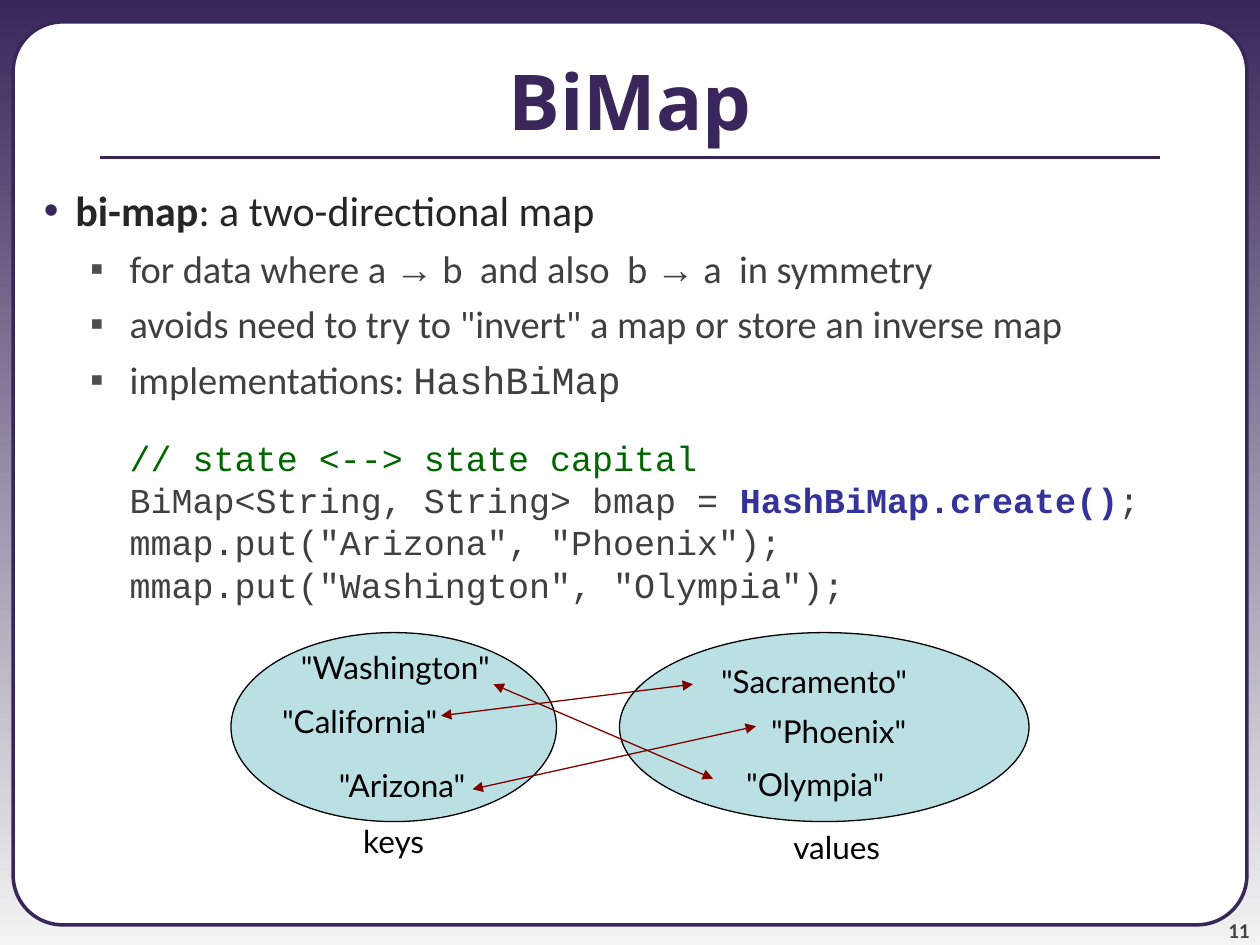
from dataclasses import dataclass
from typing import Any, Optional

import pptx
import pptx.dml.color
import pptx.enum.dml
import pptx.enum.shapes
import pptx.enum.text
import pptx.oxml
import pptx.oxml.ns
import pptx.shapes.autoshape
import pptx.text.text
import pptx.util

Pt = pptx.util.Pt
Align = pptx.enum.text.PP_ALIGN
Anchor = pptx.enum.text.MSO_ANCHOR
Preset = pptx.enum.shapes.MSO_SHAPE


@dataclass(frozen=True)
class Theme:
    purple: str = "39275B"
    pale: str = "F3F3F3"
    white: str = "FFFFFF"
    black: str = "000000"
    strong: str = "262626"
    body: str = "404040"
    number: str = "424242"
    square: str = "4D4D4D"
    comment: str = "006600"
    highlight: str = "333399"
    oval: str = "BBE0E3"
    arrow: str = "800000"
    title_font: str = "Noto Sans"
    body_font: str = "Calibri"
    symbol_font: str = "Arial"
    code_font: str = "Courier New"
    label_font: str = "Lato"
    title_size: float = 44
    topic_size: float = 24
    point_size: float = 22
    code_size: float = 20
    label_size: float = 18
    number_size: float = 12


THEME = Theme()


@dataclass(frozen=True)
class Box:
    left: float
    top: float
    width: float
    height: float

    def lengths(self) -> list[pptx.util.Length]:
        return [Pt(n) for n in (self.left, self.top, self.width, self.height)]


@dataclass(frozen=True)
class Run:
    text: str
    color: str = THEME.body
    font: str = THEME.body_font
    bold: bool = False


@dataclass(frozen=True)
class Style:
    size: float
    margin: float = 0
    indent: float = 0
    before: float = 0
    bullet: str = ""
    bullet_color: str = ""
    align: Any = Align.LEFT


@dataclass(frozen=True)
class Label:
    text: str
    left: float
    top: float
    width: float


@dataclass(frozen=True)
class Arrow:
    start: tuple[float, float]
    end: tuple[float, float]


def rgb(color: str) -> pptx.dml.color.RGBColor:
    return pptx.dml.color.RGBColor.from_string(color)


def add_element(parent: Any, tag: str, **attributes: str) -> Any:
    element = parent.makeelement(pptx.oxml.ns.qn(tag), attributes)
    parent.append(element)
    return element


def write(paragraph: pptx.text.text._Paragraph, style: Style, runs: list[Run]) -> None:
    properties = paragraph._p.get_or_add_pPr()
    properties.set("marL", str(Pt(style.margin)))
    properties.set("indent", str(Pt(style.indent)))
    if style.bullet:
        color = add_element(properties, "a:buClr")
        add_element(color, "a:srgbClr", val=style.bullet_color)
        add_element(properties, "a:buFont", typeface=THEME.symbol_font)
        add_element(properties, "a:buChar", char=style.bullet)
    paragraph.alignment = style.align
    paragraph.space_before = Pt(style.before)
    for item in runs:
        for number, line in enumerate(item.text.split("\n")):
            if number:
                paragraph.add_line_break()
            if line:
                run = paragraph.add_run()
                run.text = line
                run.font.name = item.font
                run.font.size = Pt(style.size)
                run.font.bold = item.bold
                run.font.color.rgb = rgb(item.color)


def add_text(shapes: Any, box: Box, paragraphs: list[tuple[Style, list[Run]]],
             anchor: Any = Anchor.TOP, wrap: bool = True, inset: bool = True) -> None:
    frame = shapes.add_textbox(*box.lengths()).text_frame
    frame.word_wrap = wrap
    frame.vertical_anchor = anchor
    if not wrap:
        frame.auto_size = pptx.enum.text.MSO_AUTO_SIZE.SHAPE_TO_FIT_TEXT
    if not inset:
        frame.margin_left = frame.margin_right = frame.margin_top = frame.margin_bottom = 0
    for number, (style, runs) in enumerate(paragraphs):
        write(frame.add_paragraph() if number else frame.paragraphs[0], style, runs)


def add_shape(shapes: Any, preset: Any, box: Box, fill: str, line: str,
              width: float) -> pptx.shapes.autoshape.Shape:
    shape = shapes.add_shape(preset, *box.lengths())
    shape.shadow.inherit = False
    shape.fill.solid()
    shape.fill.fore_color.rgb = rgb(fill)
    shape.line.color.rgb = rgb(line)
    shape.line.width = Pt(width)
    return shape


def add_line(shapes: Any, ends: Arrow, color: str, width: float, heads: bool = False) -> None:
    connector = shapes.add_connector(
        pptx.enum.shapes.MSO_CONNECTOR.STRAIGHT, *[Pt(n) for n in ends.start + ends.end])
    connector.line.color.rgb = rgb(color)
    connector.line.width = Pt(width)
    if heads:
        for tag in ("a:headEnd", "a:tailEnd"):
            add_element(connector.line._get_or_add_ln(), tag, type="triangle")
    add_element(connector._element.spPr, "a:effectLst")


def add_background(slide: Any) -> None:
    fill = slide.background.fill
    fill.gradient()
    fill.gradient_angle = 270
    for stop, color, position in zip(fill.gradient_stops, (THEME.purple, THEME.pale), (0, 1)):
        stop.color.rgb = rgb(color)
        stop.position = position


# Body text
TOPIC = Style(THEME.topic_size, 36, -18, 0, "•", THEME.purple)
POINT = Style(THEME.point_size, 67, -22.5, 5.5, "▪", THEME.square)
CODE = Style(THEME.code_size, 67, 0, 19.7)
ARROW_SIGN = Run("→", font=THEME.symbol_font)
BODY: list[tuple[Style, list[Run]]] = [
    (TOPIC, [Run("bi-map", THEME.strong, bold=True),
             Run(": a two-directional map", THEME.strong)]),
    (POINT, [Run("for data where a "), ARROW_SIGN, Run(" b  and also  b "), ARROW_SIGN,
             Run(" a  in symmetry")]),
    (POINT, [Run('avoids need to try to "invert" a map or store an inverse map')]),
    (POINT, [Run("implementations: "), Run("HashBiMap", font=THEME.code_font)]),
    (CODE, [Run("// state <--> state capital\n", THEME.comment, THEME.code_font),
            Run("BiMap<String, String> bmap = ", font=THEME.code_font),
            Run("HashBiMap.create()", THEME.highlight, THEME.code_font, True),
            Run(';\nmmap.put("Arizona", "Phoenix");\nmmap.put("Washington", "Olympia");',
                font=THEME.code_font)]),
]

# Diagram of keys and values
OVALS = [Box(132, 361.5, 186, 108), Box(354, 361.5, 234, 108)]
LABELS = [
    Label('"Washington"', 156, 367, 131), Label('"California"', 147, 397.5, 110),
    Label('"Arizona"', 180, 434, 93), Label("keys", 197.5, 466, 52),
    Label('"Sacramento"', 395.5, 374.5, 130), Label('"Phoenix"', 428, 403.5, 97),
    Label('"Olympia"', 413.5, 433.5, 99), Label("values", 442, 469.5, 68),
]
PAIRS = [Arrow((282, 391), (407.5, 445)), Arrow((252, 409), (396, 391)),
         Arrow((270, 451), (432, 415))]


def main() -> None:
    presentation = pptx.Presentation()
    presentation.slide_width, presentation.slide_height = Pt(720), Pt(540)
    slide = presentation.slides.add_slide(presentation.slide_layouts[6])

    # Frame, slide number and title
    add_background(slide)
    panel = add_shape(slide.shapes, Preset.ROUNDED_RECTANGLE, Box(7.5, 12.5, 705, 516),
                      THEME.white, THEME.purple, 2)
    panel.adjustments[0] = 0.055
    add_text(slide.shapes, Box(654, 510, 60, 28.5),
             [(Style(THEME.number_size, align=Align.RIGHT), [Run("11", THEME.number, bold=True)])],
             Anchor.BOTTOM, inset=False)
    add_line(slide.shapes, Arrow((57, 90), (663, 90)), THEME.purple, 2.25)
    add_text(slide.shapes, Box(0, 12, 720, 90),
             [(Style(THEME.title_size, align=Align.CENTER),
               [Run("BiMap", THEME.purple, THEME.title_font, True)])], Anchor.MIDDLE)
    add_text(slide.shapes, Box(0, 102, 720, 438), BODY)

    # Ovals, their labels and the pairings
    diagram = slide.shapes.add_group_shape().shapes
    for oval in OVALS:
        add_shape(diagram, Preset.OVAL, oval, THEME.oval, THEME.black, 0.75)
    for label in LABELS:
        add_text(diagram, Box(label.left, label.top, label.width, 29),
                 [(Style(THEME.label_size, align=Align.RIGHT),
                   [Run(label.text, THEME.black, THEME.label_font)])], wrap=False)
    for pair in PAIRS:
        add_line(diagram, pair, THEME.arrow, 0.75, heads=True)

    presentation.save("out.pptx")


if __name__ == "__main__":
    main()
